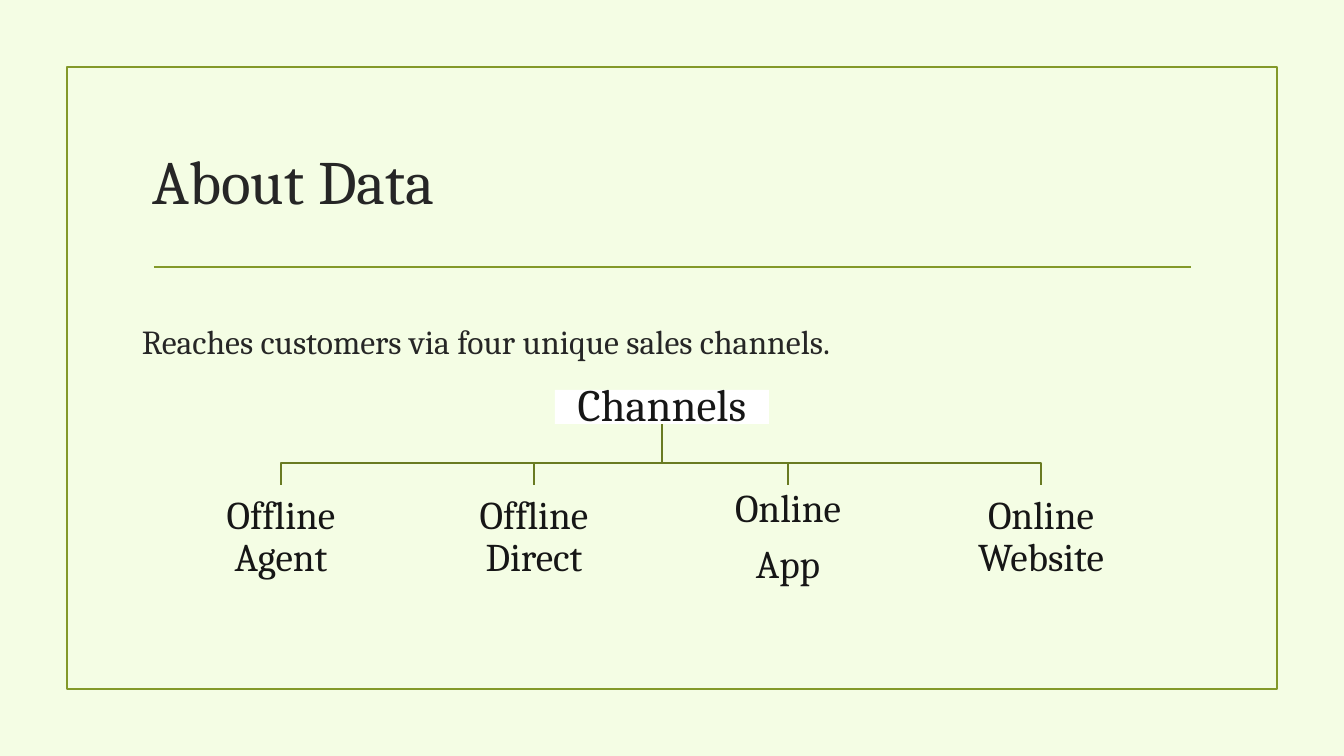
from dataclasses import dataclass
from lxml.etree import SubElement
from pptx import Presentation
from pptx.dml.color import RGBColor
from pptx.enum.shapes import MSO_CONNECTOR, MSO_SHAPE
from pptx.enum.text import MSO_ANCHOR, PP_ALIGN
from pptx.oxml.ns import qn
from pptx.util import Pt

TITLE = "About Data"
INTRO = "Reaches customers via four unique sales channels."
ROOT = "Channels"
CHANNELS = [["Offline Agent"], ["Offline Direct"], ["Online", "App"], ["Online Website"]]


@dataclass(frozen=True)
class Theme:
    font: str = "Cambria"
    background: str = "F4FDE4"
    frame: str = "83992A"
    branch: str = "697B22"
    white: str = "FFFFFF"
    heading: str = "262626"
    label: str = "161616"
    title_size: int = 44
    intro_size: int = 24
    root_size: int = 32
    channel_size: int = 28
    line_width: float = 1.25


T = Theme()
EMU_PER_PX = 914400 / 100.8
SLIDE = (1344, 756)
FRAME = (67, 67, 1210, 622)
RULE = (154, 267, 1191, 267)
TITLE_BOX = (143, 108, 1058, 144)
INTRO_BOX = (132, 316, 1113, 74)
ROOT_BOX = (555, 390, 214, 34)
BUS_Y = 463
CHANNEL_TOP, CHANNEL_W, CHANNEL_H = 485, 210, 105
FIRST_CENTER, LAST_CENTER = 281, 1041


def px(n):
    return round(n * EMU_PER_PX)


def rgb(color):
    return RGBColor.from_string(color)


def style_line(sp, color):
    sp.line.color.rgb = rgb(color)
    sp.line.width = Pt(T.line_width)


def add_rect(s, box, fill=None, line=None):
    sp = s.shapes.add_shape(MSO_SHAPE.RECTANGLE, *map(px, box))
    sp.shadow.inherit = False
    if fill:
        sp.fill.solid()
        sp.fill.fore_color.rgb = rgb(fill)
    else:
        sp.fill.background()
    if line:
        style_line(sp, line)
    else:
        sp.line.fill.background()


def add_text(s, box, lines, size, color, anchor=MSO_ANCHOR.TOP):
    tf = s.shapes.add_textbox(*map(px, box)).text_frame
    tf.word_wrap = True
    tf.vertical_anchor = anchor
    for i, line in enumerate(lines):
        p = tf.paragraphs[0] if i == 0 else tf.add_paragraph()
        r = p.add_run()
        r.text = line
        r.font.name = T.font
        r.font.size = Pt(size)
        r.font.color.rgb = rgb(color)
    return tf


def add_node(s, box, lines, size):
    tf = add_text(s, box, lines, size, T.label, MSO_ANCHOR.MIDDLE)
    tf.margin_left = tf.margin_right = tf.margin_top = tf.margin_bottom = px(2)
    for p in tf.paragraphs:
        p.alignment = PP_ALIGN.CENTER
        p.line_spacing = 0.9
        p.space_after = Pt(round(size * 0.35))


def add_branch(s, start_x, start_y, end_x):
    builder = s.shapes.build_freeform(start_x, start_y, scale=EMU_PER_PX)
    builder.add_line_segments(
        [(start_x, BUS_Y), (end_x, BUS_Y), (end_x, CHANNEL_TOP)], close=False
    )
    sp = builder.convert_to_shape()
    sp.shadow.inherit = False
    sp.fill.background()
    style_line(sp, T.branch)


def add_rule(s):
    sp = s.shapes.add_connector(MSO_CONNECTOR.STRAIGHT, *map(px, RULE))
    style_line(sp, T.frame)
    SubElement(sp.line._get_or_add_ln().getparent(), qn("a:effectLst"))


def add_channel_tree(s):
    left, top, width, height = ROOT_BOX
    pitch = (LAST_CENTER - FIRST_CENTER) / (len(CHANNELS) - 1)
    centers = [round(FIRST_CENTER + i * pitch) for i in range(len(CHANNELS))]
    for center in centers:
        add_branch(s, left + width // 2, top + height, center)
    add_rect(s, ROOT_BOX, fill=T.white)
    add_node(s, ROOT_BOX, [ROOT], T.root_size)
    for center, lines in zip(centers, CHANNELS):
        box = (center - CHANNEL_W // 2, CHANNEL_TOP, CHANNEL_W, CHANNEL_H)
        add_node(s, box, lines, T.channel_size)


def main():
    prs = Presentation()
    prs.slide_width, prs.slide_height = map(px, SLIDE)
    s = prs.slides.add_slide(prs.slide_layouts[6])
    s.background.fill.solid()
    s.background.fill.fore_color.rgb = rgb(T.background)
    add_rect(s, FRAME, line=T.frame)
    add_rule(s)
    add_text(s, TITLE_BOX, [TITLE], T.title_size, T.heading, MSO_ANCHOR.MIDDLE)
    add_text(s, INTRO_BOX, [INTRO], T.intro_size, T.heading)
    add_channel_tree(s)
    prs.save("out.pptx")


if __name__ == "__main__":
    main()
